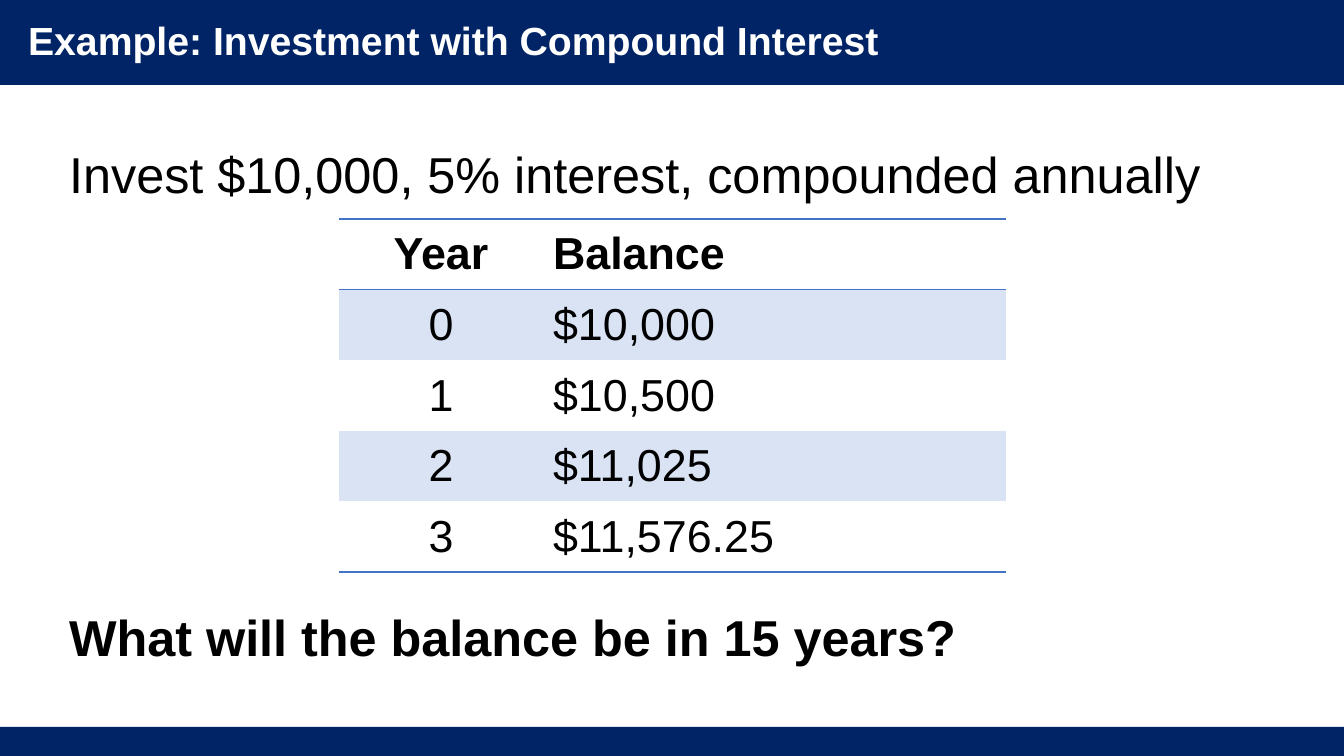
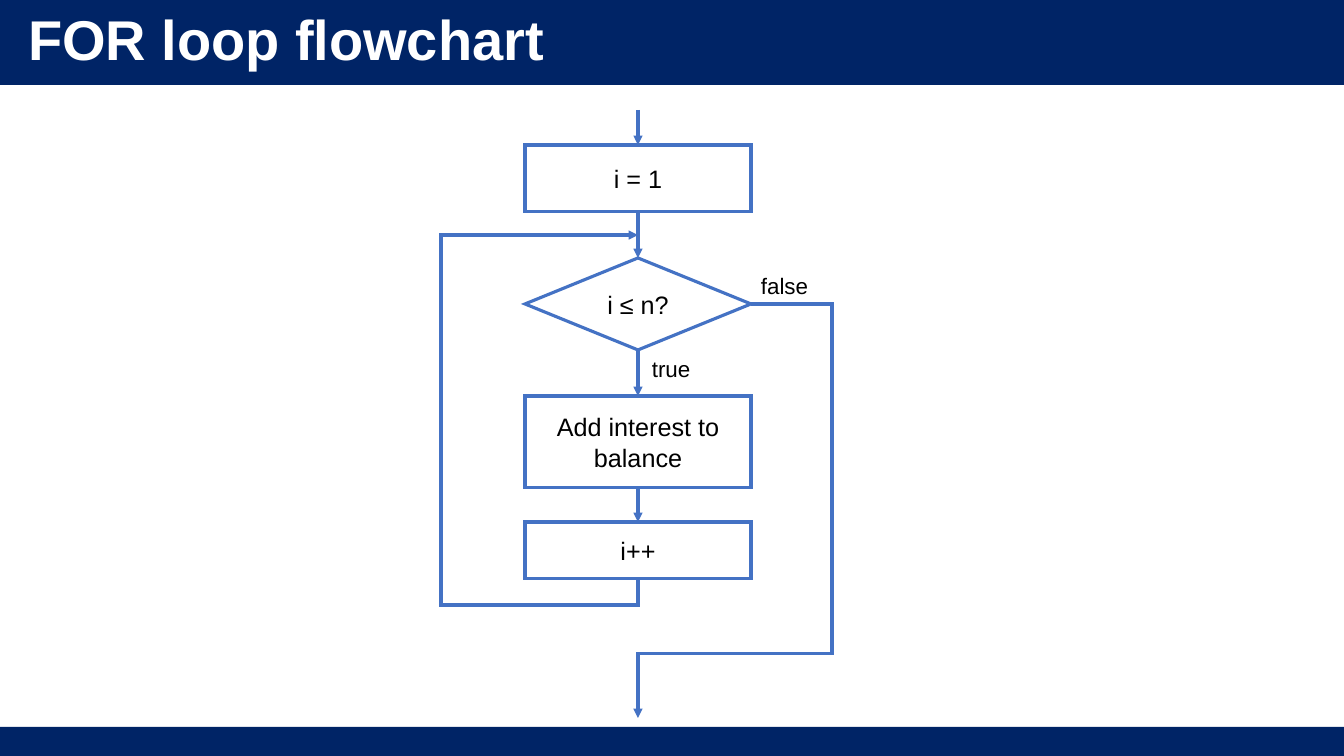
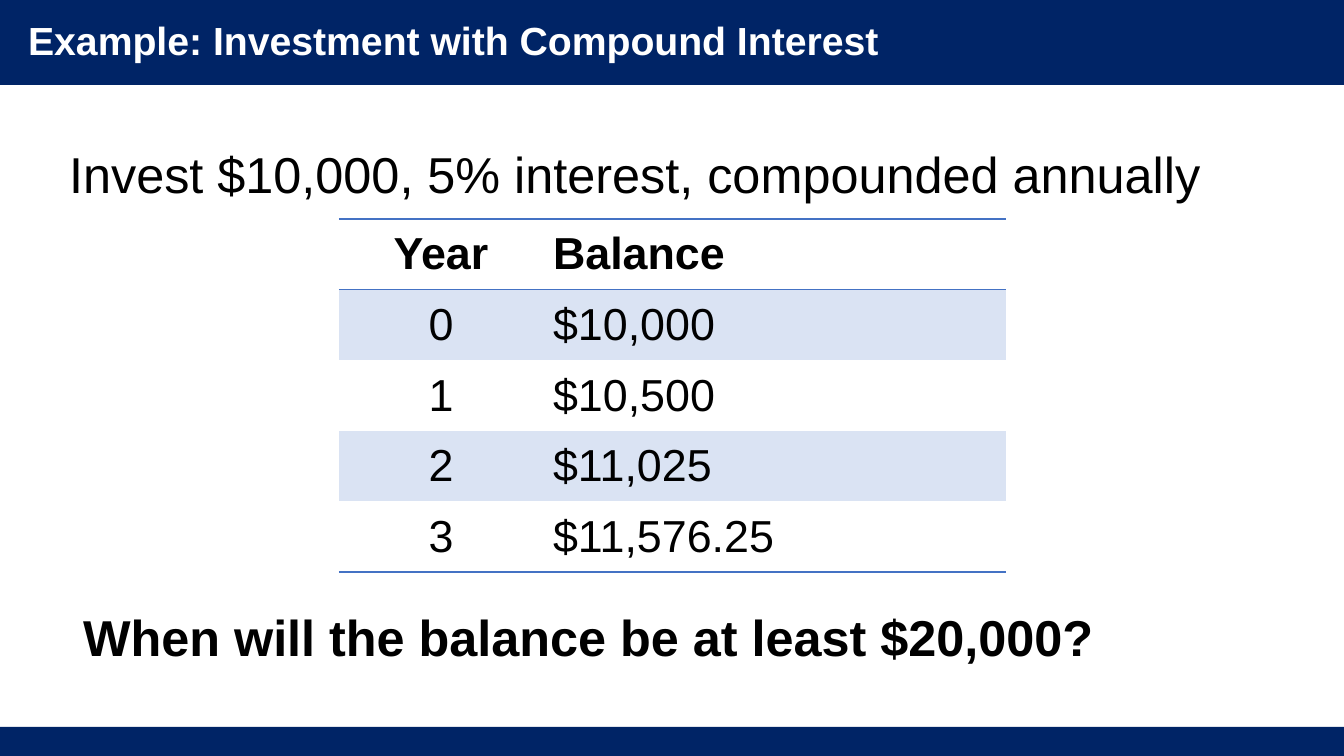
from dataclasses import dataclass
from typing import NamedTuple

from lxml.etree import SubElement
from pptx import Presentation
from pptx.dml.color import RGBColor
from pptx.enum.shapes import MSO_CONNECTOR as Connector, MSO_SHAPE as Shape
from pptx.enum.text import MSO_ANCHOR as Anchor, MSO_AUTO_SIZE as AutoSize, PP_ALIGN as Align
from pptx.oxml.ns import qn
from pptx.util import Pt

SCALE = 914400 / 100.8
NO_TABLE_STYLE = "{2D5ABB26-0587-4C30-8999-92F81FD0307C}"


@dataclass(frozen=True)
class Theme:
    """Colours, font and type sizes of the presentation."""
    font: str = "Arial"
    navy: RGBColor = RGBColor(0x00, 0x24, 0x66)
    blue: RGBColor = RGBColor(0x44, 0x72, 0xC4)
    pale: RGBColor = RGBColor(0xDA, 0xE3, 0xF3)
    white: RGBColor = RGBColor(0xFF, 0xFF, 0xFF)
    black: RGBColor = RGBColor(0x00, 0x00, 0x00)
    title: int = 28
    large_title: int = 40
    body: int = 36
    table: int = 32
    step: int = 18
    label: int = 16
    stroke: float = 2.25
    rule: int = 1


class Box(NamedTuple):
    """A rectangle in pixels."""
    left: int
    top: int
    width: int
    height: int

    @property
    def emu(self):
        """The four lengths in EMU."""
        return [px(length) for length in self]


THEME = Theme()
PAGE = Box(0, 0, 1344, 756)
HEADER = Box(0, 0, PAGE.width, 85)
FOOTER = Box(0, 727, PAGE.width, 29)
TITLE = Box(18, 14, 1019, 57)
BODY = Box(59, 126, 1234, 551)
TABLE = Box(339, 219, 667, 353)
FLOW = Box(441, 110, 391, 608)

BALANCES = [("Year", "Balance"), ("0", "$10,000"), ("1", "$10,500"),
            ("2", "$11,025"), ("3", "$11,576.25")]


def px(length):
    """Turn pixels into EMU."""
    return round(length * SCALE)


def apply(target, **values):
    """Set attributes from format values."""
    for name, value in values.items():
        setattr(target, name, value)


def write(paragraph, text, size, color=THEME.black, bold=False, **layout):
    """Write one formatted run into a paragraph."""
    run = paragraph.add_run()
    run.text = text
    apply(run.font, name=THEME.font, size=Pt(size), bold=bold)
    run.font.color.rgb = color
    apply(paragraph, **layout)


def place(shape, box):
    """Move a shape to a box."""
    apply(shape, **dict(zip(("left", "top", "width", "height"), box.emu)))


def stroke(shape, arrow=False):
    """Draw the blue line of the flowchart, with an arrowhead if asked."""
    shape.line.color.rgb = THEME.blue
    shape.line.width = Pt(THEME.stroke)
    line = shape.element.spPr.find(qn("a:ln"))
    SubElement(line, qn("a:miter"), lim="800000")
    if arrow:
        SubElement(line, qn("a:tailEnd"), type="triangle")


def add_bands(presentation, slide):
    """Put the header and footer bands on the slide master."""
    tree = presentation.slide_master.element.cSld.spTree
    for box in (FOOTER, HEADER):
        band = slide.shapes.add_shape(Shape.RECTANGLE, *box.emu)
        band.shadow.inherit = False
        band.fill.solid()
        band.fill.fore_color.rgb = THEME.navy
        band.line.fill.background()
        tree.insert(2, band.element)


def add_title(slide, box, text, size):
    """Fill the title placeholder."""
    title = slide.shapes.title
    place(title, box)
    apply(title.text_frame, vertical_anchor=Anchor.MIDDLE, auto_size=AutoSize.NONE, word_wrap=True)
    write(title.text_frame.paragraphs[0], text, size, THEME.white, True,
          alignment=Align.LEFT, line_spacing=0.9, space_before=Pt(0))


def add_body(slide, box, question, indent):
    """Fill the body placeholder with the premise and the question."""
    body = slide.placeholders[1]
    place(body, box)
    frame = body.text_frame
    apply(frame, vertical_anchor=Anchor.TOP, auto_size=AutoSize.NONE, word_wrap=True)
    lines = [("Invest $10,000, 5% interest, compounded annually", False, 2, 0),
             (question, True, 279, indent)]
    for index, (text, bold, before, margin) in enumerate(lines):
        paragraph = frame.add_paragraph() if index else frame.paragraphs[0]
        write(paragraph, text, THEME.body, bold=bold, alignment=Align.LEFT,
              line_spacing=1.2, space_before=Pt(before), space_after=Pt(0))
        properties = paragraph._p.get_or_add_pPr()
        properties.set("marL", str(px(margin)))
        properties.set("indent", "0")
        SubElement(properties, qn("a:buNone"))


def add_rule(cell, side):
    """Draw a thin blue border on one side of a cell."""
    border = SubElement(cell._tc.get_or_add_tcPr(), qn(f"a:{side}"), w=str(Pt(THEME.rule)))
    fill = SubElement(border, qn("a:solidFill"))
    SubElement(fill, qn("a:srgbClr"), val=str(THEME.blue))


def add_balances(slide, box):
    """Place the table of balances by year."""
    frame = slide.shapes.add_table(len(BALANCES), 2, *box.emu)
    next(frame.element.iter(qn("a:tableStyleId"))).text = NO_TABLE_STYLE
    table = frame.table
    apply(table, first_row=False, horz_banding=False)
    year_width = 204
    for column, width in zip(table.columns, (year_width, box.width - year_width)):
        column.width = px(width)
    last = len(BALANCES) - 1
    for row, values in enumerate(BALANCES):
        table.rows[row].height = px(box.height / len(BALANCES))
        for column, text in enumerate(values):
            cell = table.cell(row, column)
            cell.vertical_anchor = Anchor.MIDDLE
            if row == 0:
                add_rule(cell, "lnT")
            if row in (0, last):
                add_rule(cell, "lnB")
            if row % 2:
                cell.fill.solid()
                cell.fill.fore_color.rgb = THEME.pale
            else:
                cell.fill.background()
            write(cell.text_frame.paragraphs[0], text, THEME.table, bold=row == 0,
                  alignment=Align.LEFT if column else Align.CENTER)


def add_step(slide, box, kind, text):
    """Place one outlined step of the flowchart."""
    step = slide.shapes.add_shape(kind, *box.emu)
    step.shadow.inherit = False
    step.fill.solid()
    step.fill.fore_color.rgb = THEME.white
    stroke(step)
    apply(step.text_frame, vertical_anchor=Anchor.MIDDLE, word_wrap=True)
    write(step.text_frame.paragraphs[0], text, THEME.step, alignment=Align.CENTER)
    return step


def add_arrow(slide, x, top, target):
    """Point a straight arrow down at the top of a step."""
    arrow = slide.shapes.add_connector(Connector.STRAIGHT, px(x), px(top), px(x), target.top)
    arrow.end_connect(target, 0)
    stroke(arrow, arrow=True)
    SubElement(arrow.element.spPr, qn("a:effectLst"))


def add_route(slide, start, *points):
    """Draw an arrow that turns at each point."""
    builder = slide.shapes.build_freeform(*start, scale=SCALE)
    builder.add_line_segments(points, close=False)
    route = builder.convert_to_shape()
    route.shadow.inherit = False
    route.fill.background()
    stroke(route, arrow=True)


def add_label(slide, box, text):
    """Name a branch of the decision."""
    label = slide.shapes.add_textbox(*box.emu)
    label.text_frame.word_wrap = False
    write(label.text_frame.paragraphs[0], text, THEME.label)


def add_flowchart(slide, box):
    """Place the loop's steps, arrows and routes."""
    right, bottom = box.left + box.width, box.top + box.height
    step_left, step_width = box.left + 84, 226
    center, step_right = step_left + step_width // 2, step_left + step_width
    steps = [(35, 67, Shape.RECTANGLE, "i = 1"),
             (148, 92, Shape.FLOWCHART_DECISION, "i ≤ n?"),
             (286, 92, Shape.RECTANGLE, "Add interest to balance"),
             (412, 57, Shape.RECTANGLE, "i++")]
    arrow_top = box.top
    for offset, height, kind, text in steps:
        step_box = Box(step_left, box.top + offset, step_width, height)
        step = add_step(slide, step_box, kind, text)
        add_arrow(slide, center, arrow_top, step)
        arrow_top = step_box.top + height

    loop_top, loop_bottom = box.top + 125, arrow_top + 26
    add_route(slide, (center, arrow_top), (center, loop_bottom), (box.left, loop_bottom),
              (box.left, loop_top), (center, loop_top))
    exit_top, exit_turn = box.top + 194, bottom - 64
    add_route(slide, (step_right, exit_top), (right, exit_top), (right, exit_turn),
              (center, exit_turn), (center, bottom))
    add_label(slide, Box(center + 4, box.top + 240, 59, 37), "true")
    add_label(slide, Box(step_right, box.top + 157, 69, 37), "false")


def add_investment_slide(presentation, question, indent=0):
    """Build a slide that asks a question about the balances."""
    slide = presentation.slides.add_slide(presentation.slide_layouts[1])
    add_title(slide, TITLE, "Example: Investment with Compound Interest", THEME.title)
    add_body(slide, BODY, question, indent)
    add_balances(slide, TABLE)
    return slide


def add_flowchart_slide(presentation):
    """Build the slide with the loop flowchart."""
    slide = presentation.slides.add_slide(presentation.slide_layouts[5])
    add_title(slide, TITLE._replace(width=788), "FOR loop flowchart", THEME.large_title)
    add_flowchart(slide, FLOW)


def main():
    """Build and save the presentation."""
    presentation = Presentation()
    apply(presentation, slide_width=px(PAGE.width), slide_height=px(PAGE.height))
    first = add_investment_slide(presentation, "What will the balance be in 15 years?")
    add_bands(presentation, first)
    add_flowchart_slide(presentation)
    add_investment_slide(presentation, "When will the balance be at least $20,000?", indent=14)
    presentation.save("out.pptx")


main()
